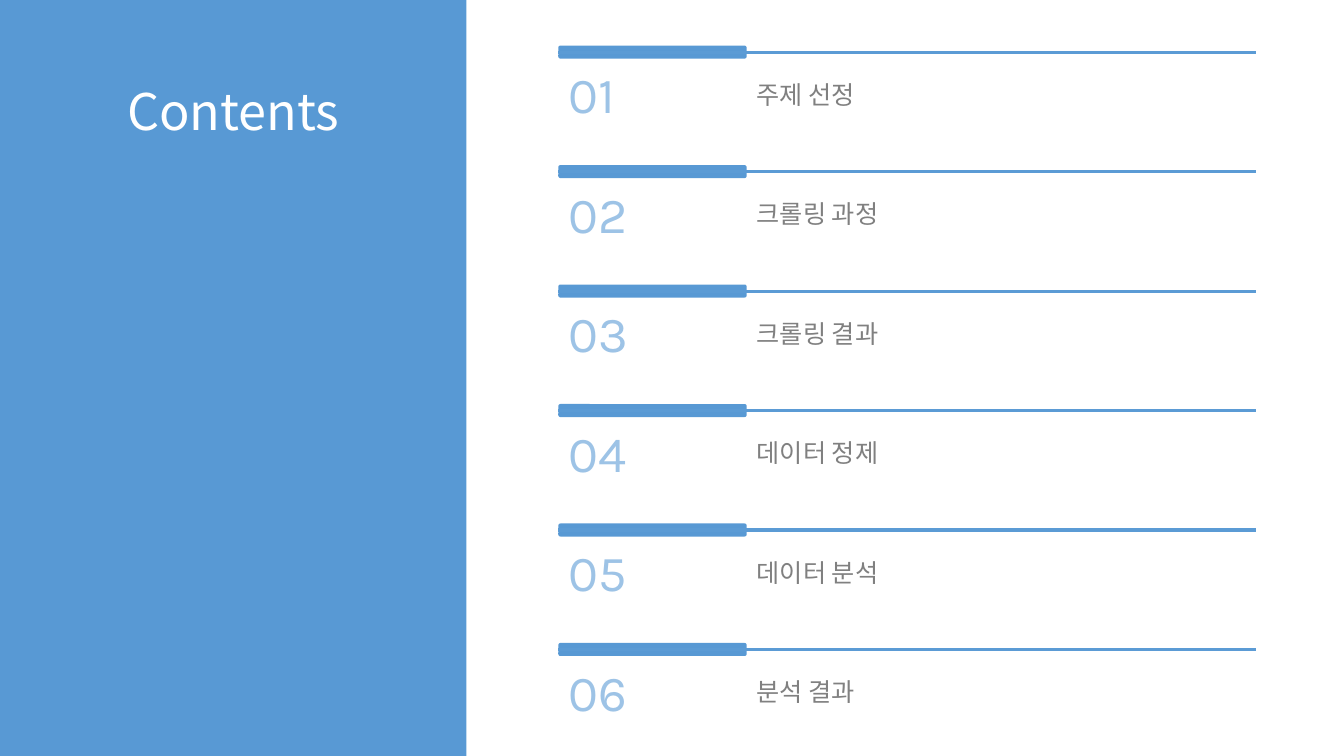
from lxml.etree import SubElement
from pptx import Presentation
from pptx.dml.color import RGBColor
from pptx.enum.shapes import MSO_CONNECTOR as Connector, MSO_SHAPE as Shape
from pptx.enum.text import MSO_ANCHOR as Anchor, MSO_AUTO_SIZE as AutoSize, PP_ALIGN as Align
from pptx.oxml.ns import qn
from pptx.util import Pt

# Content
TITLE = "Contents"
TOPICS = ["주제 선정", "크롤링 과정", "크롤링 결과", "데이터 정제", "데이터 분석", "분석 결과"]

# Style
COLORS = {"panel": "5899D4", "rule": "5B9BD5", "number": "9DC3E6", "topic": "808080", "title": "FFFFFF"}
BODY_FONT, NUMBER_FONT = "Noto Sans CJK KR", "Karla"

# Layout in points
SLIDE_WIDTH, SLIDE_HEIGHT = 960, 540
PANEL_WIDTH = 333.2
LEFT, RIGHT = 398.8, 897.2
FIRST_TOP, PITCH = 32.6, 85.34
BAR_WIDTH, BAR_HEIGHT = 134.6, 9.3
TOPIC_OFFSET = 20.5


def color(name):
    return RGBColor.from_string(COLORS[name])


def write(shape, text, size, font_name, color_name, align=Align.LEFT, anchor=Anchor.TOP):
    frame = shape.text_frame
    frame.word_wrap = True
    frame.auto_size = AutoSize.SHAPE_TO_FIT_TEXT
    frame.vertical_anchor = anchor
    frame.text = text
    paragraph = frame.paragraphs[0]
    paragraph.alignment = align
    font = paragraph.font
    font.size = Pt(size)
    font.color.rgb = color(color_name)
    font.name = font_name
    # East Asian typeface for Korean text
    properties = paragraph._p.find(f"{qn('a:pPr')}/{qn('a:defRPr')}")
    SubElement(properties, qn("a:ea")).set("typeface", font_name)


def add_block(kind, left, top, width, height):
    shape = slide.shapes.add_shape(kind, Pt(left), Pt(top), Pt(width), Pt(height))
    shape.shadow.inherit = False
    shape.fill.solid()
    shape.fill.fore_color.rgb = color("panel")
    shape.line.fill.background()
    return shape


def add_label(left, top, width, height, *style):
    box = slide.shapes.add_textbox(Pt(left), Pt(top), Pt(width), Pt(height))
    write(box, *style)


presentation = Presentation()
presentation.slide_width, presentation.slide_height = Pt(SLIDE_WIDTH), Pt(SLIDE_HEIGHT)
slide = presentation.slides.add_slide(presentation.slide_layouts[5])

# Side panel behind the title
panel = add_block(Shape.RECTANGLE, 0, 0, PANEL_WIDTH, SLIDE_HEIGHT)
title = slide.shapes.title
title.element.addprevious(panel.element)
title.left, title.top, title.width, title.height = Pt(58.6), Pt(53.5), Pt(216), Pt(50.9)
write(title, TITLE, 36, BODY_FONT, "title", Align.CENTER, Anchor.MIDDLE)

# Numbered topics
for index, topic in enumerate(TOPICS):
    top = FIRST_TOP + index * PITCH
    middle = top + BAR_HEIGHT / 2
    bar = add_block(Shape.ROUNDED_RECTANGLE, LEFT, top, BAR_WIDTH, BAR_HEIGHT)
    rule = slide.shapes.add_connector(Connector.STRAIGHT, Pt(LEFT), Pt(middle), Pt(RIGHT), Pt(middle))
    rule.begin_connect(bar, 1)
    rule.line.color.rgb = color("rule")
    rule.line.width = Pt(2.25)
    SubElement(rule.element.spPr, qn("a:effectLst"))
    add_label(LEFT, top + BAR_HEIGHT, 69.1, 50.9, f"{index + 1:02}", 36, NUMBER_FONT, "number")
    add_label(LEFT + BAR_WIDTH, top + TOPIC_OFFSET, 282.2, 29.1, topic, 18, BODY_FONT, "topic")

presentation.save("out.pptx")
